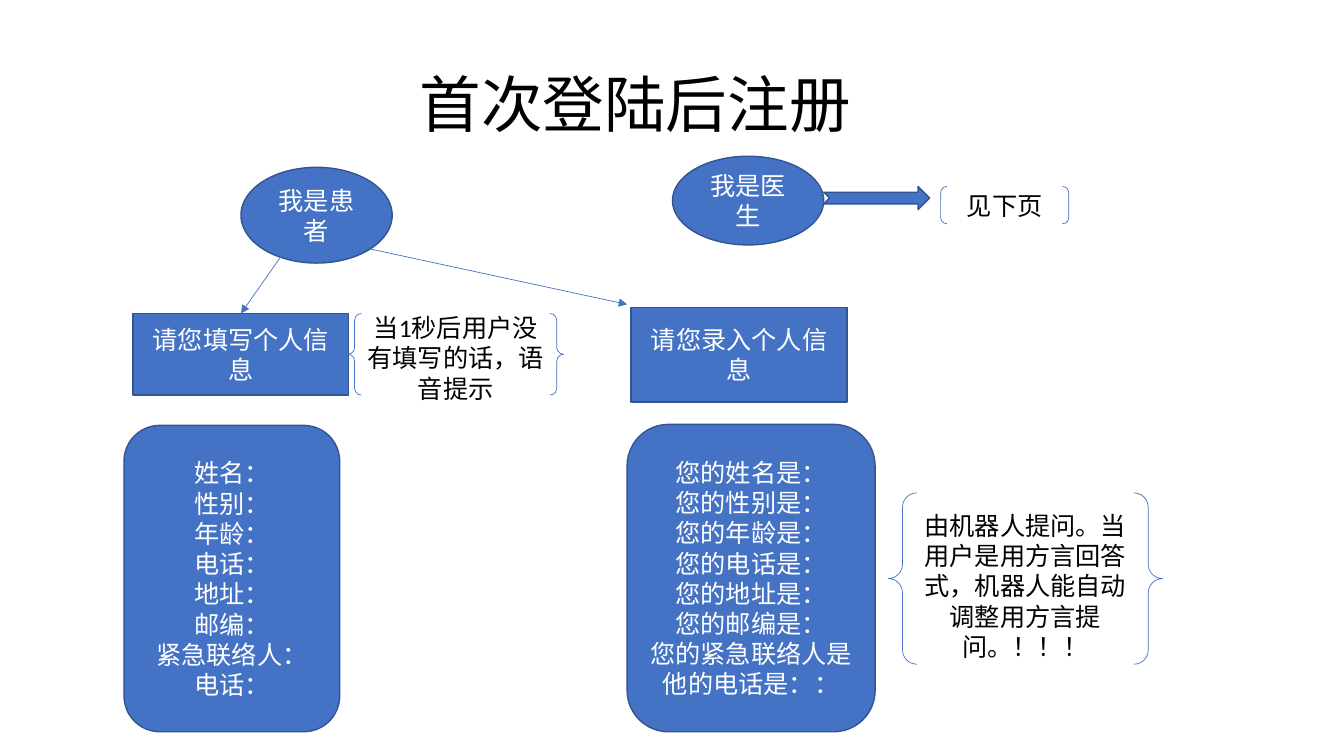
"""Build the slide on registration after the first login."""
import pptx
import pptx.util
import pptx.dml.color
import pptx.enum.shapes
import pptx.enum.text
import pptx.oxml
import pptx.oxml.ns

Inches, Pt = pptx.util.Inches, pptx.util.Pt
RGBColor = pptx.dml.color.RGBColor
SHAPE = pptx.enum.shapes.MSO_SHAPE
BLUE = RGBColor(0x44, 0x72, 0xC4)
NAVY = RGBColor(0x32, 0x54, 0x91)
WHITE = RGBColor(0xFF, 0xFF, 0xFF)
BLACK = RGBColor(0x00, 0x00, 0x00)
FONT = "Calibri"

FIELDS = ["姓名", "性别", "年龄", "电话", "地址", "邮编"]
FORM = [f"{field}：" for field in FIELDS + ["紧急联络人", "电话"]]
QUESTIONS = [f"您的{field}是：" for field in FIELDS] + ["您的紧急联络人是", "他的电话是：："]


def style_text(tf, size, color, align):
    """Format every paragraph of a text frame."""
    tf.word_wrap = True
    tf.vertical_anchor = pptx.enum.text.MSO_ANCHOR.MIDDLE
    for p in tf.paragraphs:
        p.alignment = align
        for r in p.runs:
            r.font.name = FONT
            r.font.size = Pt(size)
            r.font.color.rgb = color


def add_title(s, left, top, width, height, text):
    """Place the title in its box, set in from the left."""
    tf = s.shapes.add_textbox(Inches(left), Inches(top), Inches(width), Inches(height)).text_frame
    tf.text = text
    tf.margin_left = Inches(3.24)
    tf.paragraphs[0].line_spacing = 0.9
    style_text(tf, 44, BLACK, pptx.enum.text.PP_ALIGN.LEFT)


def add_node(s, kind, left, top, width, height, text="", filled=True):
    """Place a filled shape or an outlined note in the given box."""
    sp = s.shapes.add_shape(kind, Inches(left), Inches(top), Inches(width), Inches(height))
    sp.shadow.inherit = False
    if filled:
        sp.fill.solid()
        sp.fill.fore_color.rgb = BLUE
    else:
        sp.fill.background()
    sp.line.color.rgb = NAVY if filled else BLUE
    sp.line.width = Pt(1 if filled else 0.5)
    sp.text_frame.text = text
    style_text(sp.text_frame, 18, WHITE if filled else BLACK, pptx.enum.text.PP_ALIGN.CENTER)
    return sp


def add_arrow(s, x1, y1, x2, y2):
    """Draw a thin straight arrow between two points."""
    line = s.shapes.add_connector(
        pptx.enum.shapes.MSO_CONNECTOR.STRAIGHT, Inches(x1), Inches(y1), Inches(x2), Inches(y2))
    line.line.color.rgb = BLUE
    line.line.width = Pt(0.5)
    ns = pptx.oxml.ns.nsdecls("a")
    line.line._get_or_add_ln().append(pptx.oxml.parse_xml(f'<a:tailEnd {ns} type="triangle"/>'))
    line._element.spPr.append(pptx.oxml.parse_xml(f"<a:effectLst {ns}/>"))
    return line


def add_form_branch(s, left, top):
    """Place the branch where patients type their details."""
    prompt = add_node(s, SHAPE.RECTANGLE, left + 0.09, top, 2.14, 0.81, "请您填写个人信息")
    add_node(s, SHAPE.DOUBLE_BRACE, left + 2.22, top, 2.14, 0.81,
             "当1秒后用户没有填写的话，语音提示", filled=False)
    add_node(s, SHAPE.ROUNDED_RECTANGLE, left, top + 1.11, 2.14, 3.04, "\n".join(FORM))
    return prompt


def add_voice_branch(s, left, top):
    """Place the branch where the robot asks for the details."""
    add_node(s, SHAPE.RECTANGLE, left + 0.04, top, 2.14, 0.94, "请您录入个人信息")
    add_node(s, SHAPE.ROUNDED_RECTANGLE, left, top + 1.16, 2.46, 3.05, "\n".join(QUESTIONS))
    add_node(s, SHAPE.DOUBLE_BRACE, left + 2.59, top + 1.84, 2.72, 1.7,
             "由机器人提问。当用户是用方言回答式，机器人能自动调整用方言提问。！！！", filled=False)


def add_doctor(s, left, top):
    """Place the doctor entry with its pointer to the next page."""
    add_node(s, SHAPE.OVAL, left, top, 1.5, 0.88, "我是医生")
    add_node(s, SHAPE.NOTCHED_RIGHT_ARROW, left + 1.5, top + 0.3, 1.05, 0.23)
    add_node(s, SHAPE.DOUBLE_BRACKET, left + 2.66, top + 0.3, 1.27, 0.37, "见下页", filled=False)


def add_patient(s, left, top, prompt):
    """Place the patient entry and its arrows to both branches."""
    add_node(s, SHAPE.OVAL, left, top, 1.5, 0.95, "我是患者")
    add_arrow(s, left + 0.4, top + 0.88, left, top + 1.45).end_connect(prompt, 0)
    add_arrow(s, left + 1.28, top + 0.81, left + 3.83, top + 1.36)


def main():
    """Build and save the slide."""
    prs = pptx.Presentation()
    prs.slide_width, prs.slide_height = Inches(13.33), Inches(7.5)
    s = prs.slides.add_slide(prs.slide_layouts[6])
    add_title(s, 0.92, 0.34, 11.5, 1.45, "首次登陆后注册")
    prompt = add_form_branch(s, 1.23, 3.11)
    add_voice_branch(s, 6.22, 3.05)
    add_patient(s, 2.39, 1.66, prompt)
    add_doctor(s, 6.67, 1.55)
    prs.save("out.pptx")


if __name__ == "__main__":
    main()
